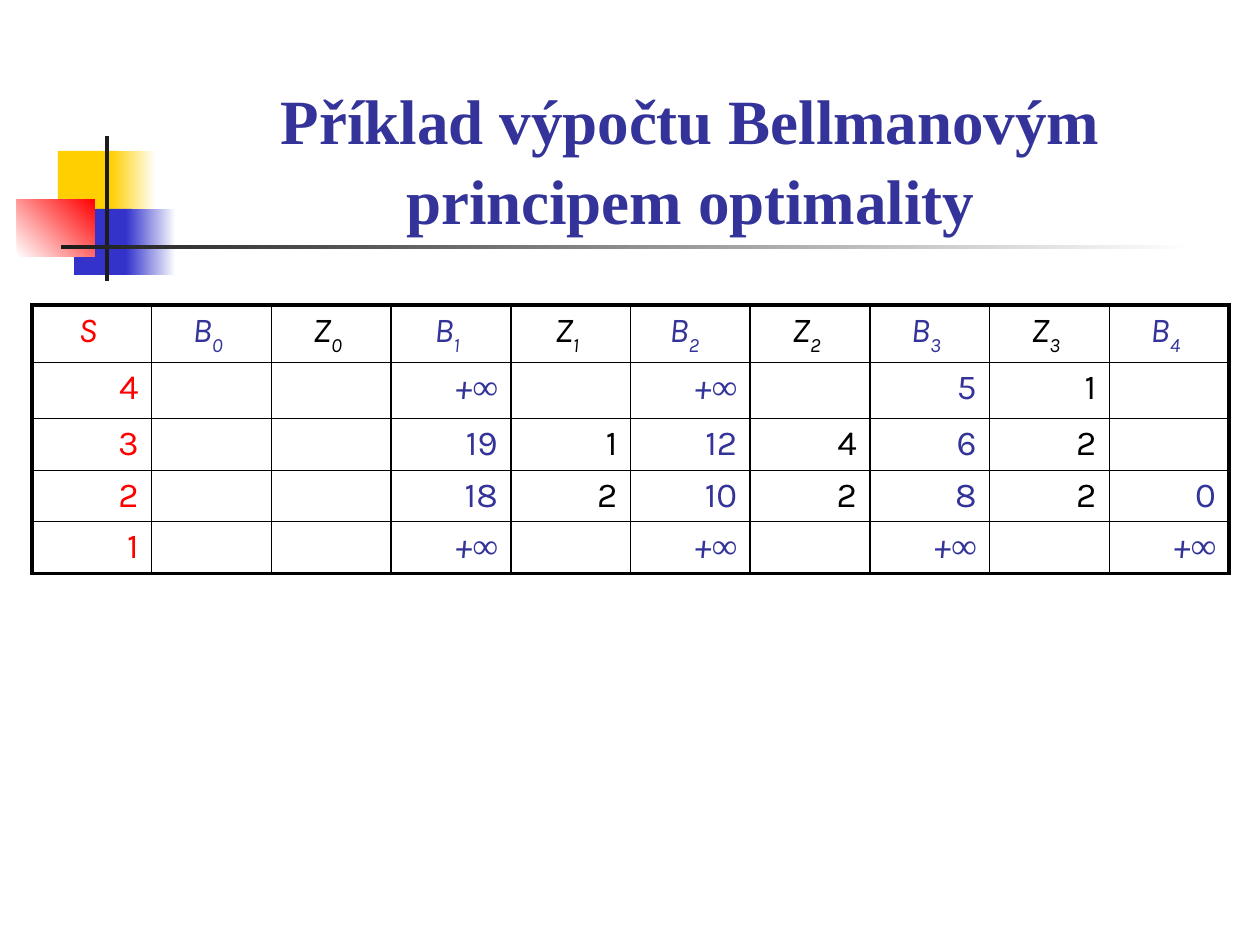
from lxml import etree
from pptx import Presentation
from pptx.dml.color import RGBColor
from pptx.enum.shapes import MSO_SHAPE
from pptx.enum.text import MSO_ANCHOR, PP_ALIGN
from pptx.oxml.ns import qn
from pptx.util import Pt

RECT = MSO_SHAPE.RECTANGLE
BOTTOM = MSO_ANCHOR.BOTTOM
CENTER, RIGHT = PP_ALIGN.CENTER, PP_ALIGN.RIGHT

WHITE = RGBColor(0xFF, 0xFF, 0xFF)
BLACK = RGBColor(0, 0, 0)
DARK = RGBColor(0x1C, 0x1C, 0x1C)
YELLOW = RGBColor(0xFF, 0xCF, 0x01)
BLUE = RGBColor(0x33, 0x33, 0xCC)
RED = RGBColor(0xFF, 0, 0)
NAVY = RGBColor(0x33, 0x33, 0x99)

SERIF, SANS = "Times New Roman", "Karla"
EMU_PER_PX = 914400 / 126
THIN, THICK = Pt(1), Pt(2.25)

# left, top, width, height, colours (two make a gradient), angle
ORNAMENTS = [
    (58, 151, 60, 66, [YELLOW], 0),
    (111, 151, 45, 66, [YELLOW, WHITE], 0),
    (74, 209, 58, 66, [BLUE], 0),
    (126, 209, 50, 66, [BLUE, WHITE], 0),
    (17, 199, 78, 58, [WHITE, RED], 45),
    (105, 136, 4, 145, [DARK], 0),
    (61, 245, 1134, 4, [DARK, WHITE], 0),
]

HEADER = [("S", ""), ("B", "0"), ("Z", "0"), ("B", "1"), ("Z", "1"),
          ("B", "2 "), ("Z", "2"), ("B", "3"), ("Z", "3"), ("B", "4")]
INF = "+∞"
ROWS = [
    ["4", "", "", INF, "", INF, "", "5", "1", ""],
    ["3", "", "", "19", "1", "12", "4", "6", "2", ""],
    ["2", "", "", "18", "2", "10", "2", "8", "2", "0"],
    ["1", "", "", INF, "", INF, "", INF, "", INF],
]
ROW_HEIGHTS = [57, 56, 52, 51, 52]


def px(n):
    """Turn pixels into EMU."""
    return round(n * EMU_PER_PX)


def add_block(slide, left, top, width, height, colors, angle):
    """Add a borderless rectangle with a solid or gradient fill."""
    sp = slide.shapes.add_shape(RECT, px(left), px(top), px(width), px(height))
    sp.shadow.inherit = False
    sp.line.fill.background()
    if len(colors) == 1:
        sp.fill.solid()
        sp.fill.fore_color.rgb = colors[0]
        return
    sp.fill.gradient()
    sp.fill.gradient_angle = angle
    for stop, color in zip(sp.fill.gradient_stops, colors):
        stop.color.rgb = color


def set_title(slide, text):
    """Place and format the title above the ornaments."""
    title = slide.shapes.title
    title.left, title.top, title.width, title.height = px(154), px(86), px(1073), px(157)
    slide.shapes._spTree.append(title._element)
    tf = title.text_frame
    tf.text = text
    tf.word_wrap = True
    tf.vertical_anchor = BOTTOM
    p = tf.paragraphs[0]
    p.alignment = CENTER
    p.line_spacing = 1.05
    p.font.name, p.font.size, p.font.bold = SERIF, Pt(36), True
    p.font.color.rgb = NAVY


def set_borders(cell, widths):
    """Draw the left, right, top and bottom edges of a cell."""
    tcPr = cell._tc.get_or_add_tcPr()
    for i, (side, width) in enumerate(zip("LRTB", widths)):
        ln = etree.Element(qn(f"a:ln{side}"), w=str(width))
        fill = etree.SubElement(ln, qn("a:solidFill"))
        etree.SubElement(fill, qn("a:srgbClr"), val=str(BLACK))
        tcPr.insert(i, ln)


def add_run(p, text, color, italic, name=SANS, subscript=False):
    """Append a formatted run to a table paragraph."""
    r = p.add_run()
    r.text = text
    r.font.name, r.font.size, r.font.italic = name, Pt(20), italic
    r.font.color.rgb = color
    if subscript:
        r._r.get_or_add_rPr().set("baseline", "-30000")


def fill_header(p, letter, index, color):
    """Write a column symbol with its subscript."""
    p.alignment = CENTER
    add_run(p, letter, color, True)
    if index:
        add_run(p, index, color, True, subscript=True)


def fill_value(p, text, color):
    """Write a number or an infinity."""
    p.alignment = RIGHT
    if text == INF:
        add_run(p, text[0], color, True)
        add_run(p, text[1], color, True, SERIF)
    elif text:
        add_run(p, text, color, False)


def add_grid(slide):
    """Add the table of values."""
    n_rows, n_cols = len(ROWS) + 1, len(HEADER)
    frame = slide.shapes.add_table(n_rows, n_cols, px(32), px(305),
                                   px(1197), px(sum(ROW_HEIGHTS)))
    table = frame.table
    table.first_row = table.horz_banding = False
    for i, height in enumerate(ROW_HEIGHTS):
        table.rows[i].height = px(height)
        for j in range(n_cols):
            cell = table.cell(i, j)
            cell.fill.background()
            cell.margin_left = cell.margin_top = cell.margin_bottom = px(5)
            cell.margin_right = px(13)
            outer = (j == 0, j == n_cols - 1, i == 0, i == n_rows - 1)
            set_borders(cell, [THICK if edge else THIN for edge in outer])
            color = RED if j == 0 else NAVY if j % 2 else BLACK
            p = cell.text_frame.paragraphs[0]
            if i == 0:
                fill_header(p, *HEADER[j], color)
            else:
                fill_value(p, ROWS[i - 1][j], color)


def main():
    """Build the slide."""
    prs = Presentation()
    prs.slide_width, prs.slide_height = px(1260), px(945)
    slide = prs.slides.add_slide(prs.slide_layouts[5])
    for ornament in ORNAMENTS:
        add_block(slide, *ornament)
    set_title(slide, "Příklad výpočtu Bellmanovým principem optimality")
    add_grid(slide)
    prs.save("out.pptx")


main()
